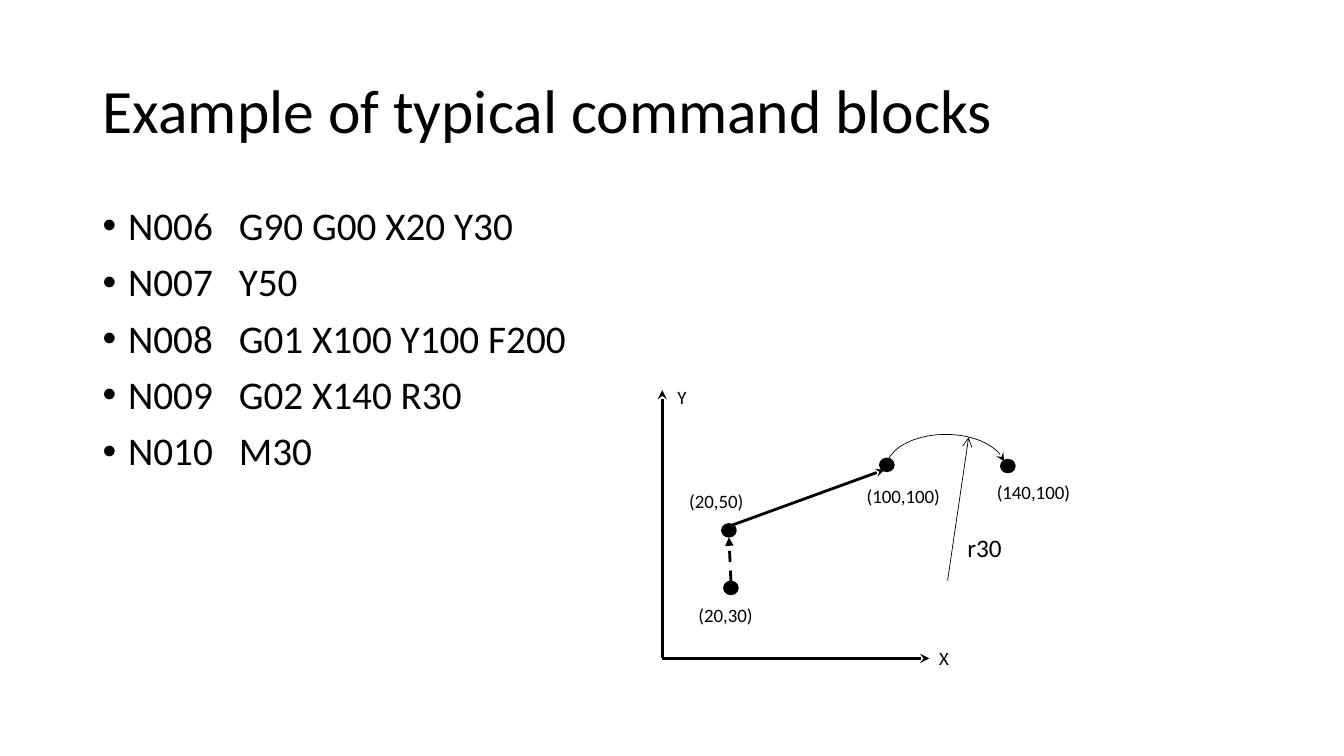
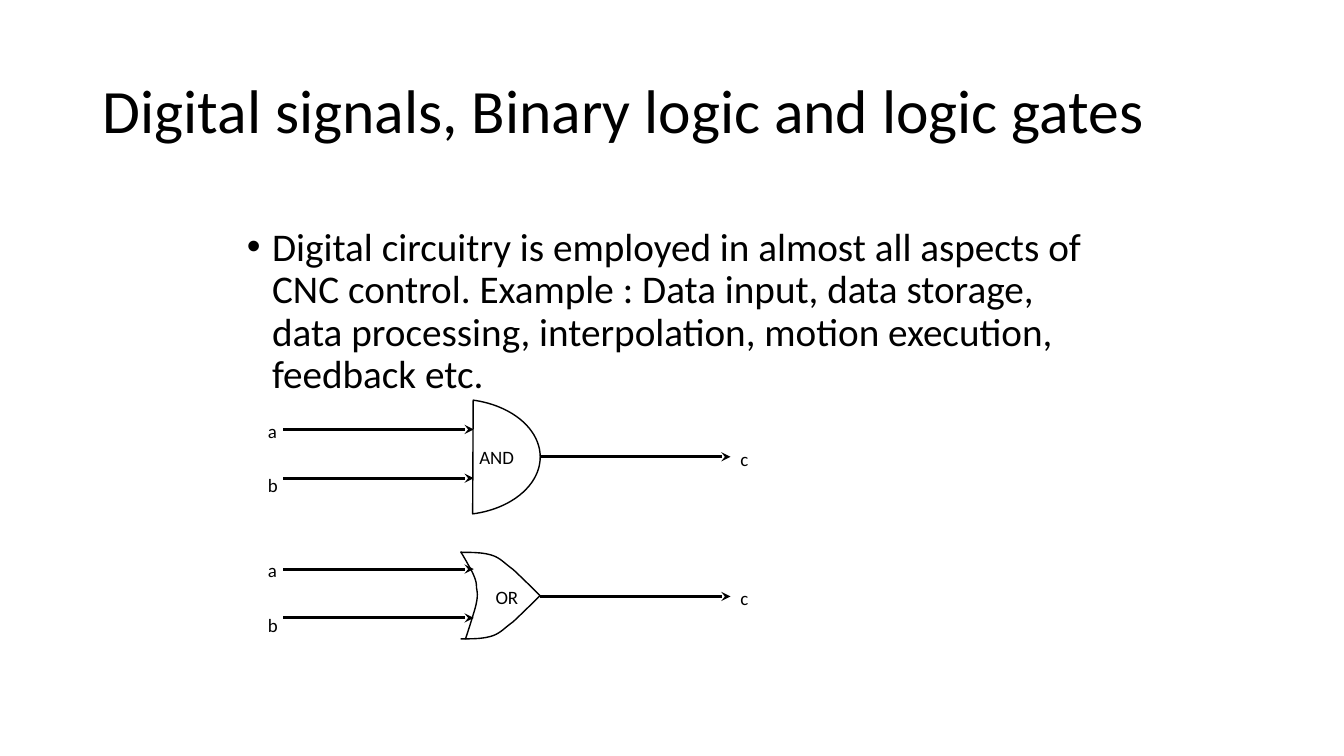
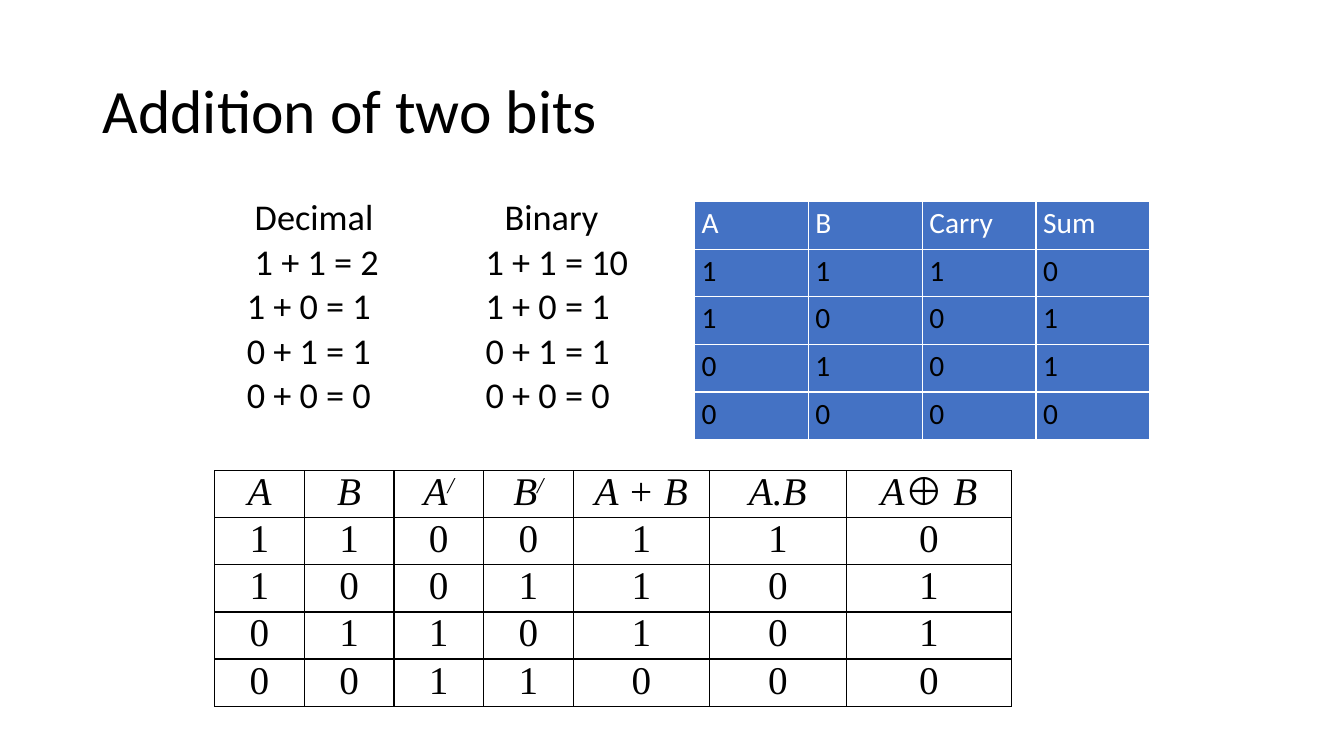
from lxml import etree
from pptx import Presentation
from pptx.dml.color import RGBColor
from pptx.enum.dml import MSO_LINE
from pptx.enum.shapes import MSO_CONNECTOR as CONN, MSO_SHAPE as SHAPE
from pptx.enum.text import MSO_ANCHOR as ANCHOR, PP_ALIGN as ALIGN
from pptx.oxml.ns import qn
from pptx.util import Cm, Pt

BLACK, WHITE, BLUE = "000000", "FFFFFF", "4472C4"
SANS, SERIF = "Calibri", "Times New Roman"


# ---- Shared helpers ----
def rgb(color):
    return RGBColor.from_string(color)


def style(p, size, color=BLACK, font=SANS, italic=False):
    for r in p.runs:
        r.font.size, r.font.name, r.font.italic = Pt(size), font, italic
        r.font.color.rgb = rgb(color)


def text_box(s, x, y, w, h, lines, size, spacing=1.0, before=0, anchor=ANCHOR.TOP):
    tf = s.shapes.add_textbox(Cm(x), Cm(y), Cm(w), Cm(h)).text_frame
    tf.word_wrap = True
    tf.vertical_anchor = anchor
    tf.text = "\n".join(lines)
    for p in tf.paragraphs:
        p.line_spacing, p.space_before = spacing, Pt(before)
        style(p, size)
    return tf


def label(s, x, y, w, text, size=13.5):
    text_box(s, x, y, w, 0.84, [text], size)


def indent(p, left, first=0):
    pPr = p._p.get_or_add_pPr()
    pPr.set("marL", str(Cm(left)))
    pPr.set("indent", str(Cm(first)))
    return pPr


def bullets(tf):
    for p in tf.paragraphs:
        pPr = indent(p, 0.64, -0.64)
        etree.SubElement(pPr, qn("a:buFont")).set("typeface", "Arial")
        etree.SubElement(pPr, qn("a:buChar")).set("char", "•")


def outline(shape, width, head=None):
    shape.line.color.rgb = rgb(BLACK)
    shape.line.width = Pt(width)
    if head:
        ln = shape.line._get_or_add_ln()
        etree.SubElement(ln, qn("a:tailEnd")).set("type", head)


def arrow(s, x1, y1, x2, y2, width=2.25, head="stealth", dash=None):
    c = s.shapes.add_connector(CONN.STRAIGHT, Cm(x1), Cm(y1), Cm(x2), Cm(y2))
    if dash:
        c.line.dash_style = dash
    outline(c, width, head)
    etree.SubElement(c._element.spPr, qn("a:effectLst"))


def preset(s, kind, x, y, w, h, width, fill=None, head=None):
    sp = s.shapes.add_shape(kind, Cm(x), Cm(y), Cm(w), Cm(h))
    sp.shadow.inherit = False
    if fill:
        sp.fill.solid()
        sp.fill.fore_color.rgb = rgb(fill)
    else:
        sp.fill.background()
    outline(sp, width, head)
    return sp


def curve(s, x, y, points, steps=12):
    """Draw a chain of cubic Bezier segments."""
    def at(seg, t):
        weights = ((1 - t) ** 3, 3 * t * (1 - t) ** 2, 3 * t * t * (1 - t), t ** 3)
        return tuple(Cm(o + sum(k * pt[i] for k, pt in zip(weights, seg)))
                     for i, o in enumerate((x, y)))

    segments = [points[i:i + 4] for i in range(0, len(points) - 1, 3)]
    fb = s.shapes.build_freeform(*at(segments[0], 0))
    fb.add_line_segments([at(seg, n / steps) for seg in segments
                          for n in range(1, steps + 1)], close=False)
    sp = fb.convert_to_shape()
    sp.shadow.inherit = False
    sp.fill.background()
    outline(sp, 1)


def border(cell, color):
    tcPr = cell._tc.get_or_add_tcPr()
    for i, side in enumerate(("lnL", "lnR", "lnT", "lnB")):
        ln = etree.Element(qn(f"a:{side}"), w=str(Pt(1)))
        fill = etree.SubElement(ln, qn("a:solidFill"))
        etree.SubElement(fill, qn("a:srgbClr")).set("val", color)
        tcPr.insert(i, ln)


def table(s, x, y, cols, row_h, rows, inset, line, fill=None):
    """Add a bordered table and yield each cell with its row number."""
    frame = s.shapes.add_table(len(rows), len(cols), Cm(x), Cm(y),
                               Cm(sum(cols)), Cm(row_h * len(rows)))
    t = frame.table
    t.first_row = t.horz_banding = False
    for col, w in zip(t.columns, cols):
        col.width = Cm(w)
    for i, row in enumerate(rows):
        t.rows[i].height = Cm(row_h)
        for j, text in enumerate(row):
            cell = t.cell(i, j)
            cell.margin_left = cell.margin_right = Cm(inset[0])
            cell.margin_top = cell.margin_bottom = Cm(inset[1])
            if fill:
                cell.fill.solid()
                cell.fill.fore_color.rgb = rgb(fill)
            else:
                cell.fill.background()
            border(cell, line)
            cell.text_frame.text = text
            yield i, cell.text_frame.paragraphs[0]


def new_slide(prs, title):
    s = prs.slides.add_slide(prs.slide_layouts[6])
    text_box(s, 2.34, 1.02, 29.21, 3.68, [title], 44, 0.9, anchor=ANCHOR.MIDDLE)
    return s


# ---- Slide 1: command blocks ----
def command_list(s, x, y):
    blocks = [("N006", "G90 G00 X20 Y30"), ("N007", "Y50"),
              ("N008", "G01 X100 Y100 F200"), ("N009", "G02 X140 R30"),
              ("N010", "M30")]
    numbers, commands = zip(*blocks)
    bullets(text_box(s, x, y, 3.6, 7.5, numbers, 28, 0.9, 10))
    text_box(s, x + 3.43, y, 11, 7.5, commands, 28, 0.9, 10)


def tool_path(s, x, y, w, h):
    # Axes
    arrow(s, x, y + h, x + w, y + h)
    arrow(s, x, y + h, x, y)
    label(s, x + w, y + h - 0.41, 1.9, "X")
    label(s, x + 0.13, y - 0.23, 1.4, "Y")

    # Points: centre, label offset, label
    for px, py, lx, ly, text in [(1.73, 4.99, 0.66, 5.26, "(20,30)"),
                                 (1.68, 3.54, 0.43, 2.39, "(20,50)"),
                                 (5.66, 1.89, 4.9, 2.26, "(100,100)"),
                                 (8.71, 1.92, 8.18, 2.16, "(140,100)")]:
        preset(s, SHAPE.OVAL, x + px - 0.18, y + py - 0.17, 0.36, 0.33, 1, BLACK)
        label(s, x + lx, y + ly, 2.8, text)

    # Moves: rapid, linear, circular
    arrow(s, x + 1.73, y + 4.83, x + 1.68, y + 3.71, 2, "triangle", MSO_LINE.DASH)
    arrow(s, x + 1.63, y + 3.45, x + 5.59, y + 2.01, 2)
    arc = preset(s, SHAPE.ARC, x + 6.27, y + 0.48, 1.75, 3.02, 0.5, head="stealth")
    arc.adjustments[0], arc.adjustments[1] = 162, 49.37
    arc.rotation = 270

    # Radius
    arrow(s, x + 7.19, y + 4.8, x + 7.72, y + 1.19, 0.5, "arrow")
    label(s, x + 7.44, y + 3.45, 1.6, "r30", 18)


# ---- Slide 2: logic gates ----
def and_body(s, x, y):
    chord = preset(s, SHAPE.CHORD, x + 3.56, y - 1.02, 2.92, 4.19, 1, WHITE)
    chord.adjustments[0], chord.adjustments[1] = 9.5, 98.82
    chord.rotation = 270
    label(s, x + 5.33, y + 0.66, 1.5, "AND")


def or_body(s, x, y):
    back = [(5.11, -0.06), (5.23, 0.14), (5.33, 0.32), (5.41, 0.47),
            (5.49, 0.65), (5.51, 0.72), (5.51, 0.85), (5.54, 1), (5.54, 1.1),
            (5.49, 1.31), (5.44, 1.51), (5.23, 2.15), (5.23, 2.15)]
    upper = [(5.11, -0.04), (5.41, -0.04), (5.69, -0.04), (5.92, 0.04),
             (6.12, 0.11), (6.22, 0.24), (6.43, 0.39), (6.63, 0.57),
             (7.11, 1.05), (7.11, 1.05)]
    lower = [(px, 2.1 - py) for px, py in upper]
    for points in (back, upper, lower):
        curve(s, x, y, points)
    label(s, x + 5.74, y + 0.67, 1.27, "OR")


def gate(s, x, y, body):
    for wire_y in (0.38, 1.61):
        arrow(s, x + 0.64, y + wire_y, x + 5.44, y + wire_y)
    body(s, x, y)
    arrow(s, x + 7.11, y + 1.07, x + 11.91, y + 1.07)
    for lx, ly, text in [(0, 0, "a"), (0, 1.37, "b"), (11.91, 0.71, "c")]:
        label(s, x + lx, y + ly, 0.8, text)


# ---- Slide 3: adding bits ----
def sums(s, x, y, lines, indents):
    tf = text_box(s, x, y, 5.5, 6.81, lines, 25.9, 0.7, 10)
    for p, left in zip(tf.paragraphs, indents):
        indent(p, left)


def carry_table(s, x, y):
    rows = [["A", "B", "Carry", "Sum"], *map(list, ("1110", "1001", "0101", "0000"))]
    for i, p in table(s, x, y, [2.87] * 4, 1.2, rows, (0.18, 0.1), WHITE, BLUE):
        style(p, 21, BLACK if i else WHITE)


def truth_table(s, x, y):
    rows = [["A", "B", "A/", "B/", "A + B", "A.B", "A⊕ B"],
            *map(list, ("1100110", "1001101", "0110101", "0011000"))]
    cols = [2.26] * 4 + [3.43, 3.45, 4.17]
    for i, p in table(s, x, y, cols, 1.09, rows, (0.15, 0), BLACK):
        p.alignment = ALIGN.CENTER
        if p.text.endswith("/"):
            p.text = p.text[0]
            r = p.add_run()
            r.text = "/"
            r._r.get_or_add_rPr().set("baseline", "30000")
        style(p, 28, font=SERIF, italic=i == 0)


def main():
    prs = Presentation()
    prs.slide_width, prs.slide_height = Cm(33.87), Cm(19.05)

    s = new_slide(prs, "Example of typical command blocks")
    command_list(s, 2.34, 5.08)
    tool_path(s, 16.69, 9.83, 6.73, 6.76)

    s = new_slide(prs, "Digital signals, Binary logic and logic gates")
    bullets(text_box(s, 5.97, 5.61, 21.89, 9.65, [
        "Digital circuitry is employed in almost all aspects of CNC control. "
        "Example : Data input, data storage, data processing, interpolation, "
        "motion execution, feedback etc."], 28, 0.9, 10))
    gate(s, 6.5, 10.44, and_body)
    gate(s, 6.5, 13.96, or_body)

    s = new_slide(prs, "Addition of two bits")
    shared = ["1 + 0 = 1", "0 + 1 = 1", "0 + 0 = 0"]
    sums(s, 5.97, 5.08, ["Decimal", "1 + 1 = 2", *shared], (0.2, 0.2))
    sums(s, 11.99, 5.08, ["Binary", "1 + 1 = 10", *shared], (0.48,))
    carry_table(s, 17.5, 5.08)
    truth_table(s, 5.41, 11.86)

    prs.save("out.pptx")


if __name__ == "__main__":
    main()
